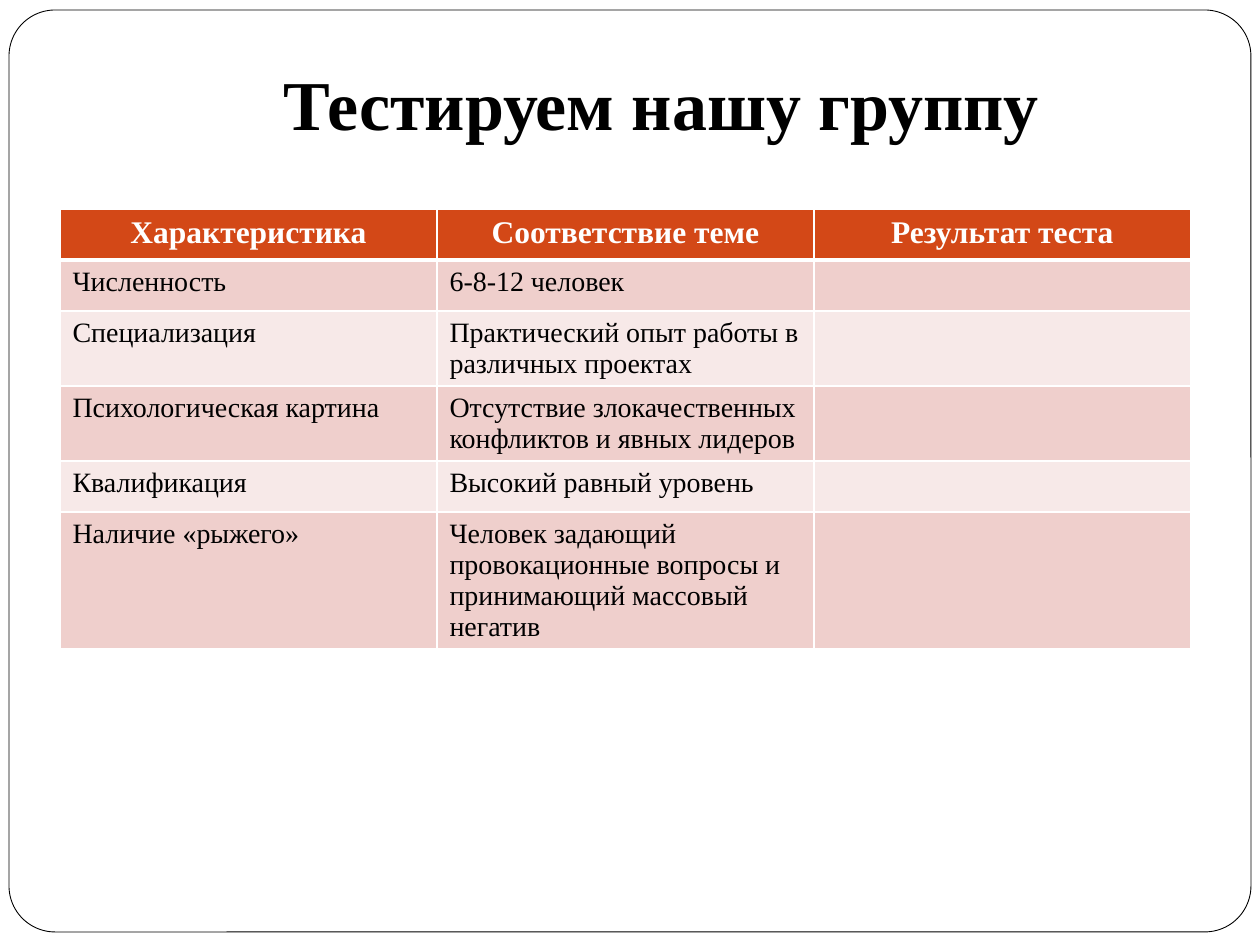
from lxml import etree
from pptx import Presentation
from pptx.dml.color import RGBColor
from pptx.enum.shapes import MSO_SHAPE
from pptx.enum.text import MSO_ANCHOR, MSO_AUTO_SIZE, PP_ALIGN
from pptx.oxml.ns import qn
from pptx.util import Pt

SCALE = 914400 / 126
WHITE = RGBColor(0xFF, 0xFF, 0xFF)
BLACK = RGBColor(0x00, 0x00, 0x00)
ORANGE = RGBColor(0xD3, 0x48, 0x17)
ROSE = RGBColor(0xEF, 0xCF, 0xCC)
PALE = RGBColor(0xF7, 0xE9, 0xE8)
ROUND = MSO_SHAPE.ROUNDED_RECTANGLE
BOTTOM = MSO_ANCHOR.BOTTOM
FIXED = MSO_AUTO_SIZE.NONE
CENTER, LEFT = PP_ALIGN.CENTER, PP_ALIGN.LEFT

FONT = "Times New Roman"
TITLE = {"name": FONT, "size": Pt(40), "bold": True}
HEAD = {"name": FONT, "size": Pt(18), "bold": True}
BODY = {"name": FONT, "size": Pt(16), "bold": False}

ROWS = [
    ("Характеристика", "Соответствие теме", "Результат теста"),
    ("Численность", "6-8-12 человек", ""),
    ("Специализация", "Практический опыт работы в различных проектах", ""),
    ("Психологическая картина",
     "Отсутствие злокачественных конфликтов и явных лидеров", ""),
    ("Квалификация", "Высокий равный уровень", ""),
    ("Наличие «рыжего»",
     "Человек задающий провокационные вопросы и принимающий массовый негатив", ""),
]


def px(n):
    return round(n * SCALE)


def assign(item, values):
    for key, value in values.items():
        setattr(item, key, value)


class Deck:
    def __init__(self, width, height):
        self.show = Presentation()
        assign(self.show, {"slide_width": px(width), "slide_height": px(height)})
        self.slide = self.show.slides.add_slide(self.show.slide_layouts[5])

    def label(self, par, text, style, color, align):
        par.alignment = align
        if text:
            run = par.add_run()
            run.text = text
            assign(run.font, style)
            run.font.color.rgb = color

    def frame(self, box, radius):
        shape = self.slide.shapes.add_shape(ROUND, *map(px, box))
        shape.adjustments[0] = radius
        shape.shadow.inherit = False
        shape.fill.solid()
        shape.fill.fore_color.rgb = WHITE
        shape.line.color.rgb = BLACK
        shape.line.width = Pt(0.5)
        title = self.slide.shapes.title.element
        title.addprevious(shape.element)

    def title(self, text, box):
        shape = self.slide.shapes.title
        assign(shape, dict(zip(("left", "top", "width", "height"), map(px, box))))
        body = shape.text_frame
        assign(body, {
            "word_wrap": True, "auto_size": FIXED, "vertical_anchor": BOTTOM,
            "margin_left": Pt(7.2), "margin_right": Pt(7.2),
            "margin_top": Pt(3.6), "margin_bottom": Pt(7.2),
        })
        par = body.paragraphs[0]
        par.line_spacing = 0.9
        self.label(par, text, TITLE, BLACK, CENTER)

    def border(self, cell, widths):
        props = cell._tc.get_or_add_tcPr()
        for spot, (side, width) in enumerate(widths.items()):
            line = etree.Element(qn(f"a:ln{side}"), w=str(Pt(width)))
            fill = etree.SubElement(line, qn("a:solidFill"))
            etree.SubElement(fill, qn("a:srgbClr"), val=str(WHITE))
            props.insert(spot, line)

    def table(self, rows, left, top, wide, high):
        count = len(rows[0])
        shape = self.slide.shapes.add_table(
            len(rows), count, px(left), px(top), px(wide * count), px(high * len(rows)))
        for y, row in enumerate(rows):
            look = (HEAD, WHITE, CENTER) if y == 0 else (BODY, BLACK, LEFT)
            fill = ORANGE if y == 0 else (PALE, ROSE)[y % 2]
            edges = {"L": 1, "R": 1, "T": 3 if y == 1 else 1, "B": 3 if y == 0 else 1}
            for x, text in enumerate(row):
                cell = shape.table.cell(y, x)
                cell.fill.solid()
                cell.fill.fore_color.rgb = fill
                self.border(cell, edges)
                self.label(cell.text_frame.paragraphs[0], text, *look)


def main():
    deck = Deck(1260, 945)
    deck.frame((9, 10, 1242, 922), 0.05)
    deck.title("Тестируем нашу группу", (126, 0, 1071, 158))
    deck.table(ROWS, 60, 209, 377, 51)
    deck.show.save("out.pptx")


if __name__ == "__main__":
    main()
